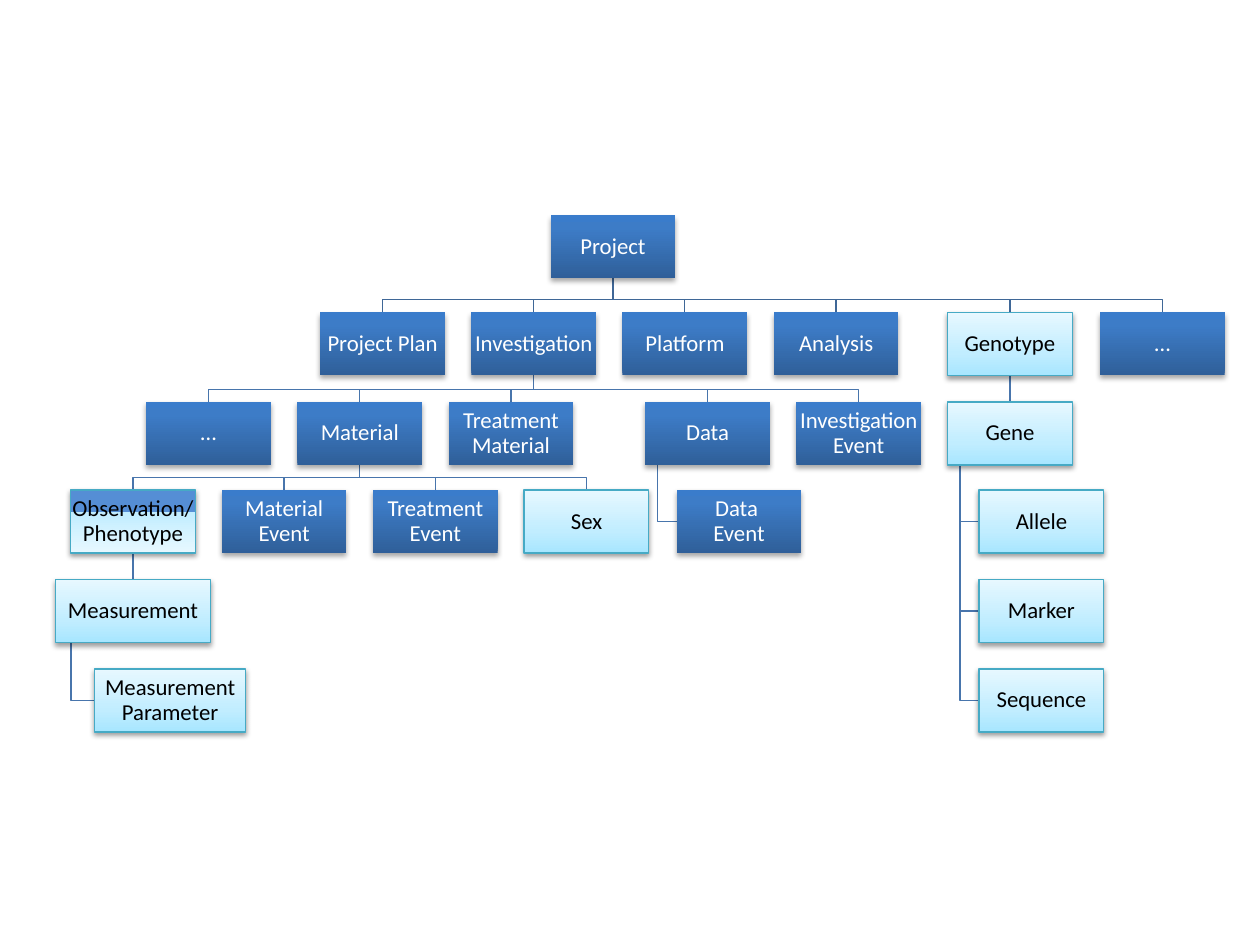
from collections import namedtuple

from lxml.etree import SubElement
from pptx import Presentation
from pptx.dml.color import RGBColor
from pptx.enum.shapes import MSO_CONNECTOR, MSO_SHAPE
from pptx.enum.text import MSO_ANCHOR, PP_ALIGN
from pptx.oxml.ns import qn
from pptx.util import Inches, Pt

COLORS = {
    "white": "FFFFFF", "black": "000000", "teal": "46AAC5",
    "navy": "2F5F99", "blue": "3D7CC7", "bright": "3A7CCB", "steel": "558ED5",
    "sky": "A7E6FF", "pale": "C1EDFF", "ice": "E7F8FF",
    "root_link": "3F6797", "link": "4875AC",
}

Style = namedtuple("Style", "stops angle text border shadow_alpha shadow_distance")
STYLES = {
    "core": Style([(0, "navy"), (80, "blue"), (100, "bright")], 90, "white", None, 35, 1.8),
    "added": Style([(0, "sky"), (35, "pale"), (100, "ice")], 90, "black", "teal", 38, 1.6),
    "mixed": Style([(35, "steel"), (35, "pale"), (100, "ice")], 270, "black", "teal", 38, 1.6),
}

ROW_TOPS = [1.71, 2.48, 3.19, 3.89, 4.6, 5.31]
BOX_WIDTH, BOX_HEIGHT = 0.99, 0.5
BUS_GAP = 0.1

Node = namedtuple("Node", "text left row parent style hanging width",
                  defaults=("core", False, BOX_WIDTH))
NODES = {
    "project": Node("Project", 4.37, 0, None),
    "plan": Node("Project Plan", 2.54, 1, "project"),
    "investigation": Node("Investigation", 3.74, 1, "project"),
    "more_investigation": Node("…", 1.16, 2, "investigation"),
    "material": Node("Material", 2.36, 2, "investigation"),
    "observation": Node("Observation/\vPhenotype", 0.56, 3, "material", "mixed"),
    "measurement": Node("Measurement", 0.44, 4, "observation", "added", width=1.23),
    "parameter": Node("Measurement Parameter", 0.75, 5, "measurement", "added", True, 1.2),
    "material_event": Node("Material\vEvent", 1.76, 3, "material"),
    "treatment_event": Node("Treatment\vEvent", 2.96, 3, "material"),
    "sex": Node("Sex", 4.16, 3, "material", "added"),
    "treatment": Node("Treatment Material", 3.56, 2, "investigation"),
    "data": Node("Data", 5.12, 2, "investigation"),
    "data_event": Node("Data \vEvent", 5.37, 3, "data", hanging=True),
    "investigation_event": Node("Investigation\vEvent", 6.32, 2, "investigation"),
    "platform": Node("Platform", 4.94, 1, "project"),
    "analysis": Node("Analysis", 6.14, 1, "project"),
    "genotype": Node("Genotype", 7.52, 1, "project", "added"),
    "gene": Node("Gene", 7.52, 2, "genotype", "added"),
    "allele": Node("Allele", 7.77, 3, "gene", "added", True),
    "marker": Node("Marker", 7.77, 4, "gene", "added", True),
    "sequence": Node("Sequence", 7.77, 5, "gene", "added", True),
    "more_project": Node("…", 8.73, 1, "project"),
}


class TreeSlide:
    font_name = "Calibri"
    font_size = Pt(13)
    line_width = Pt(0.75)

    def __init__(self, slide):
        self.shapes = slide.shapes

    def color(self, name):
        return RGBColor.from_string(COLORS[name])

    def outline(self, shape, color):
        shape.line.color.rgb = self.color(color)
        shape.line.width = self.line_width

    def straight_link(self, start, end, color):
        connector = self.shapes.add_connector(
            MSO_CONNECTOR.STRAIGHT, *[Inches(value) for value in start + end])
        self.outline(connector, color)
        SubElement(connector._element.spPr, qn("a:effectLst"))

    def bent_link(self, points, color):
        points = [(Inches(x), Inches(y)) for x, y in points]
        builder = self.shapes.build_freeform(*points[0])
        builder.add_line_segments(points[1:], close=False)
        shape = builder.convert_to_shape()
        shape.fill.background()
        shape.shadow.inherit = False
        self.outline(shape, color)

    def link(self, parent, child):
        color = "link" if parent.parent else "root_link"
        bottom = ROW_TOPS[parent.row] + BOX_HEIGHT
        top = ROW_TOPS[child.row]
        if child.hanging:
            trunk = parent.left + parent.width / 10
            middle = top + BOX_HEIGHT / 2
            self.bent_link([(trunk, bottom), (trunk, middle), (child.left, middle)], color)
            return
        start = round(parent.left + parent.width / 2, 3)
        end = round(child.left + child.width / 2, 3)
        if start == end:
            self.straight_link((start, bottom), (end, top), color)
        else:
            bus = top - BUS_GAP
            self.bent_link([(start, bottom), (start, bus), (end, bus), (end, top)], color)

    def gradient(self, shape, style):
        shape.fill.gradient()
        shape.fill.gradient_angle = style.angle
        stop_list = shape._element.spPr.find(".//" + qn("a:gsLst"))
        stop_list.clear()
        for position, color in style.stops:
            stop = SubElement(stop_list, qn("a:gs"), pos=str(position * 1000))
            SubElement(stop, qn("a:srgbClr"), val=COLORS[color])

    def drop_shadow(self, shape, style):
        shape.shadow.inherit = False
        effects = shape._element.spPr.find(qn("a:effectLst"))
        shadow = SubElement(effects, qn("a:outerShdw"), blurRad=str(Pt(3.1)),
                            dist=str(Pt(style.shadow_distance)), dir="5400000", rotWithShape="0")
        color = SubElement(shadow, qn("a:srgbClr"), val=COLORS["black"])
        SubElement(color, qn("a:alpha"), val=str(style.shadow_alpha * 1000))

    def box(self, node):
        style = STYLES[node.style]
        shape = self.shapes.add_shape(
            MSO_SHAPE.RECTANGLE, Inches(node.left), Inches(ROW_TOPS[node.row]),
            Inches(node.width), Inches(BOX_HEIGHT))
        self.gradient(shape, style)
        if style.border:
            self.outline(shape, style.border)
        else:
            shape.line.fill.background()
        self.drop_shadow(shape, style)
        frame = shape.text_frame
        frame.word_wrap = True
        frame.vertical_anchor = MSO_ANCHOR.MIDDLE
        frame.margin_left = frame.margin_right = Inches(0.01)
        frame.margin_top = frame.margin_bottom = Inches(0.01)
        paragraph = frame.paragraphs[0]
        paragraph.text = node.text
        paragraph.alignment = PP_ALIGN.CENTER
        paragraph.line_spacing = 0.9
        paragraph.font.name = self.font_name
        paragraph.font.size = self.font_size
        paragraph.font.color.rgb = self.color(style.text)


presentation = Presentation()
presentation.slide_width = Inches(10)
presentation.slide_height = Inches(7.5)
tree = TreeSlide(presentation.slides.add_slide(presentation.slide_layouts[6]))
for node in NODES.values():
    if node.parent:
        tree.link(NODES[node.parent], node)
for node in NODES.values():
    tree.box(node)
presentation.save("out.pptx")
